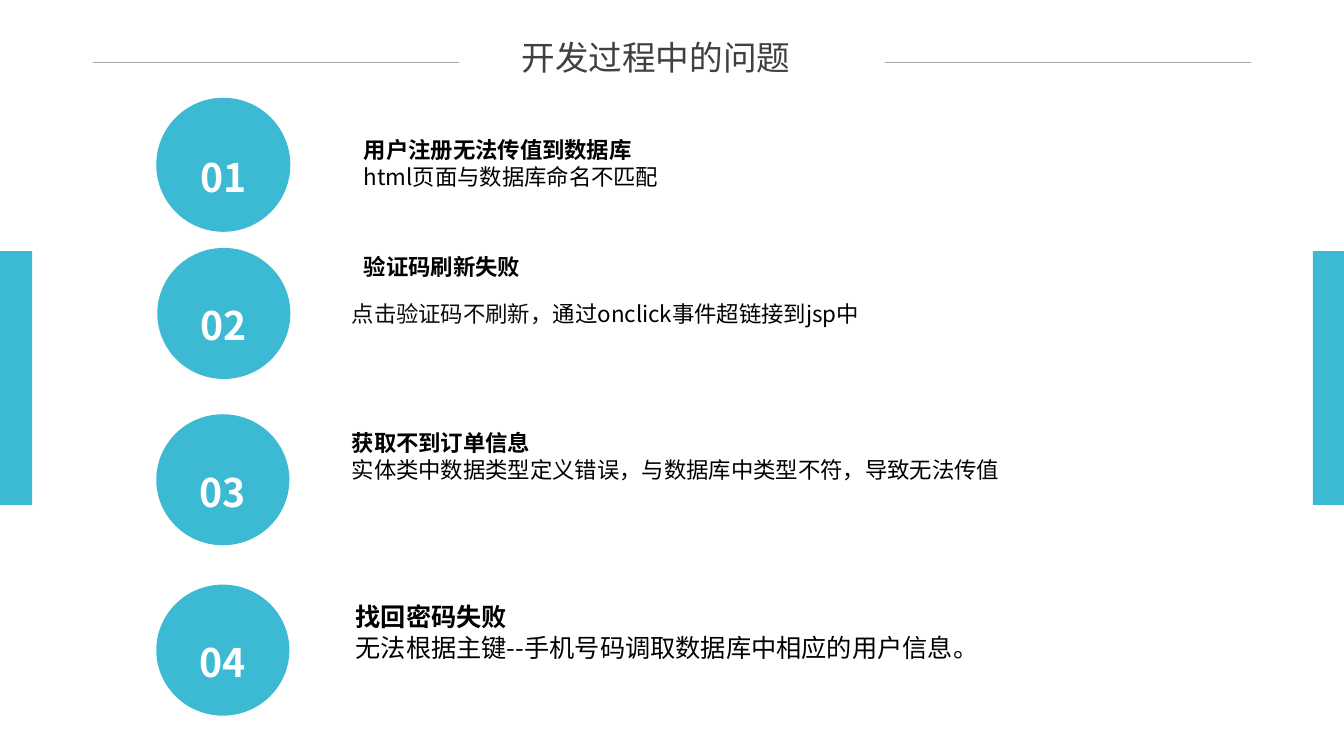
from lxml.etree import SubElement
from pptx import Presentation
from pptx.dml.color import RGBColor
from pptx.enum.shapes import MSO_CONNECTOR as CONNECTOR, MSO_SHAPE as SHAPE
from pptx.enum.text import MSO_ANCHOR as ANCHOR, MSO_AUTO_SIZE as AUTO_SIZE, PP_ALIGN as ALIGN
from pptx.oxml.ns import qn
from pptx.util import Inches, Pt

TEAL = RGBColor(0x3D, 0xBA, 0xD3)
WHITE = RGBColor(0xFF, 0xFF, 0xFF)
BLACK = RGBColor(0x00, 0x00, 0x00)
NEAR_BLACK = RGBColor(0x0D, 0x0D, 0x0D)
TITLE_GREY = RGBColor(0x40, 0x40, 0x40)
RULE_GREY = RGBColor(0xA6, 0xA6, 0xA6)
FONT = "Noto Sans CJK JP"

prs = Presentation()
prs.slide_width, prs.slide_height = Inches(13.33), Inches(7.5)
slide = prs.slides.add_slide(prs.slide_layouts[6])
shapes = slide.shapes


def add_filled(kind, left, top, width, height):
    shape = shapes.add_shape(kind, Inches(left), Inches(top), Inches(width), Inches(height))
    shape.shadow.inherit = False
    shape.fill.solid()
    shape.fill.fore_color.rgb = TEAL
    shape.line.fill.background()
    return shape


def style(paragraph, size, colour, bold=False):
    font = paragraph.font
    font.size, font.bold = Pt(size), bold
    font.color.rgb = colour
    font.name = FONT
    east_asian = SubElement(paragraph._p.pPr.find(qn("a:defRPr")), qn("a:ea"))
    east_asian.set("typeface", FONT)


# Side bars
for bar_left in (0, 13.02):
    add_filled(SHAPE.RECTANGLE, bar_left, 2.49, 0.32, 2.52)

# Title between two rules
title = shapes.add_textbox(Inches(4.46), Inches(0.37), Inches(4.09), Inches(0.4)).text_frame
title.word_wrap = True
title.auto_size = AUTO_SIZE.SHAPE_TO_FIT_TEXT
title.vertical_anchor = ANCHOR.MIDDLE
title.margin_left = title.margin_right = title.margin_top = title.margin_bottom = 0
heading = title.paragraphs[0]
heading.text = "开发过程中的问题"
heading.alignment = ALIGN.CENTER
style(heading, 24, TITLE_GREY)

for rule_left in (0.92, 8.78):
    rule = shapes.add_connector(CONNECTOR.STRAIGHT, Inches(rule_left), Inches(0.62),
                                Inches(rule_left + 3.63), Inches(0.62))
    rule.line.color.rgb = RULE_GREY
    rule.line.width = Pt(0.5)
    SubElement(rule._element.spPr, qn("a:effectLst"))

# Numbered circles
circles = [(1.55, 0.97, 1.33, 1.33), (1.56, 2.46, 1.32, 1.3),
           (1.55, 4.11, 1.32, 1.3), (1.55, 5.8, 1.32, 1.3)]
for index, place in enumerate(circles, 1):
    number = add_filled(SHAPE.OVAL, *place).text_frame
    number.margin_left = number.margin_right = number.margin_top = number.margin_bottom = 0
    label = number.paragraphs[0]
    label.text = f"{index:02d}"
    label.alignment = ALIGN.CENTER
    label.line_spacing = 1.5
    style(label, 28, WHITE, bold=True)

# Problems: place, size, bold heading, explanation
problems = [
    ((3.51, 1.3, 7.57, 0.64), 16, "用户注册无法传值到数据库", "html页面与数据库命名不匹配"),
    ((3.51, 2.46, 3.05, 0.37), 16, "验证码刷新失败", None),
    ((3.39, 4.21, 7.2, 0.91), 16, "获取不到订单信息",
     "实体类中数据类型定义错误，与数据库中类型不符，导致无法传值"),
    ((3.43, 5.92, 7.71, 0.71), 18, "找回密码失败",
     "无法根据主键--手机号码调取数据库中相应的用户信息。"),
]
for place, size, problem, explanation in problems:
    frame = shapes.add_textbox(*map(Inches, place)).text_frame
    frame.word_wrap = True
    frame.auto_size = AUTO_SIZE.SHAPE_TO_FIT_TEXT
    frame.paragraphs[0].text = problem
    style(frame.paragraphs[0], size, BLACK, bold=True)
    if explanation:
        detail = frame.add_paragraph()
        detail.text = explanation
        style(detail, size, BLACK)

# Explanation of the second problem, in its own box
captcha = shapes.add_textbox(Inches(3.39), Inches(2.8), Inches(7.54), Inches(0.5)).text_frame
captcha.word_wrap = True
captcha.auto_size = AUTO_SIZE.SHAPE_TO_FIT_TEXT
captcha_detail = captcha.paragraphs[0]
captcha_detail.line_spacing = 1.5
captcha_detail.text = "点击验证码不刷新，"
style(captcha_detail, 16, NEAR_BLACK)
remedy = captcha_detail.add_run()
remedy.text = "通过onclick事件超链接到jsp中"
remedy.font.color.rgb = BLACK

prs.save("out.pptx")
